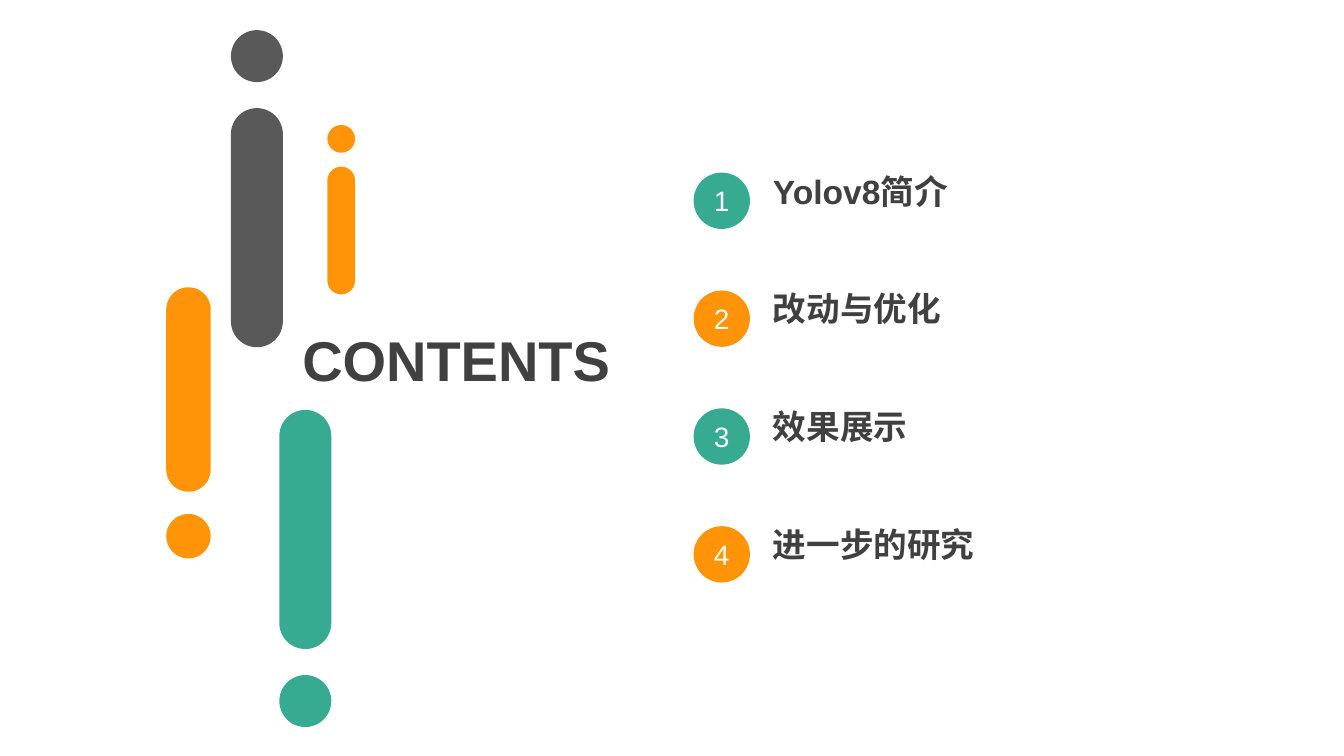
from pptx import Presentation
from pptx.dml.color import RGBColor
from pptx.enum.shapes import MSO_SHAPE
from pptx.enum.text import MSO_ANCHOR, PP_ALIGN
from pptx.util import Cm, Pt

OVAL, ROUNDED = MSO_SHAPE.OVAL, MSO_SHAPE.ROUNDED_RECTANGLE
MIDDLE, CENTER, LEFT = MSO_ANCHOR.MIDDLE, PP_ALIGN.CENTER, PP_ALIGN.LEFT
TOP = MSO_ANCHOR.TOP

GREY, ORANGE, GREEN = "595959", "FF9409", "37AB91"
INK, WHITE = "404040", "FFFFFF"

TITLE = "CONTENTS"
# label, width of its text box in cm
ITEMS = [
    ("Yolov8简介", 4.93),
    ("改动与优化", 4.8),
    ("效果展示", 3.95),
    ("进一步的研究", 5.65),
]
# left, top, thickness in cm, colour, dot above the bar
PILLARS = [
    (5.82, 0.76, 1.31, GREY, True),
    (8.25, 3.15, 0.7, ORANGE, True),
    (7.04, 10.33, 1.31, GREEN, False),
    (4.19, 7.24, 1.12, ORANGE, False),
]
BAR_RATIO, GAP_RATIO = 4.6, 0.5  # relative to thickness

BADGE_LEFT, BADGE_TOP, BADGE_SIZE, PITCH = 17.48, 4.35, 1.42, 2.97
LABEL_LEFT, LABEL_RISE, LABEL_HEIGHT = 19.23, 0.18, 1.28


def rgb(value):
    return RGBColor.from_string(value)


def add_filled(shapes, kind, left, top, width, height, color):
    sp = shapes.add_shape(kind, Cm(left), Cm(top), Cm(width), Cm(height))
    sp.shadow.inherit = False
    sp.fill.solid()
    sp.fill.fore_color.rgb = rgb(color)
    sp.line.fill.background()
    return sp


def write(sp, text, size, color=INK, bold=False, align=LEFT, anchor=TOP):
    tf = sp.text_frame
    tf.word_wrap = True
    tf.vertical_anchor = anchor
    p = tf.paragraphs[0]
    p.alignment = align
    r = p.add_run()
    r.text = text
    r.font.name = "Arial"
    r.font.size = Pt(size)
    r.font.bold = bold
    r.font.color.rgb = rgb(color)


def add_pillar(slide, left, top, size, color, dot_first):
    """Group a round-ended bar with a dot above or below it."""
    bar, gap = size * BAR_RATIO, size * GAP_RATIO
    dot_top = top if dot_first else top + bar + gap
    bar_top = top + size + gap if dot_first else top
    shapes = slide.shapes.add_group_shape().shapes
    sp = add_filled(shapes, ROUNDED, left, bar_top, size, bar, color)
    sp.adjustments[0] = 0.5
    add_filled(shapes, OVAL, left, dot_top, size, size, color)


def add_label(slide, text, left, top, width, height, size):
    sp = slide.shapes.add_textbox(Cm(left), Cm(top), Cm(width), Cm(height))
    write(sp, text, size, bold=True)


def main():
    prs = Presentation()
    prs.slide_width, prs.slide_height = Cm(33.87), Cm(19.05)
    slide = prs.slides.add_slide(prs.slide_layouts[6])

    for pillar in PILLARS:
        add_pillar(slide, *pillar)

    for i, (label, width) in enumerate(ITEMS):
        top = BADGE_TOP + i * PITCH
        add_label(slide, label, LABEL_LEFT, top - LABEL_RISE, width, LABEL_HEIGHT, 24)
        badge = add_filled(slide.shapes, OVAL, BADGE_LEFT, top,
                           BADGE_SIZE, BADGE_SIZE, (GREEN, ORANGE)[i % 2])
        write(badge, str(i + 1), 20, color=WHITE, align=CENTER, anchor=MIDDLE)

    add_label(slide, TITLE, 7.37, 8.08, 8.48, 1.97, 40)
    prs.save("out.pptx")


if __name__ == "__main__":
    main()
